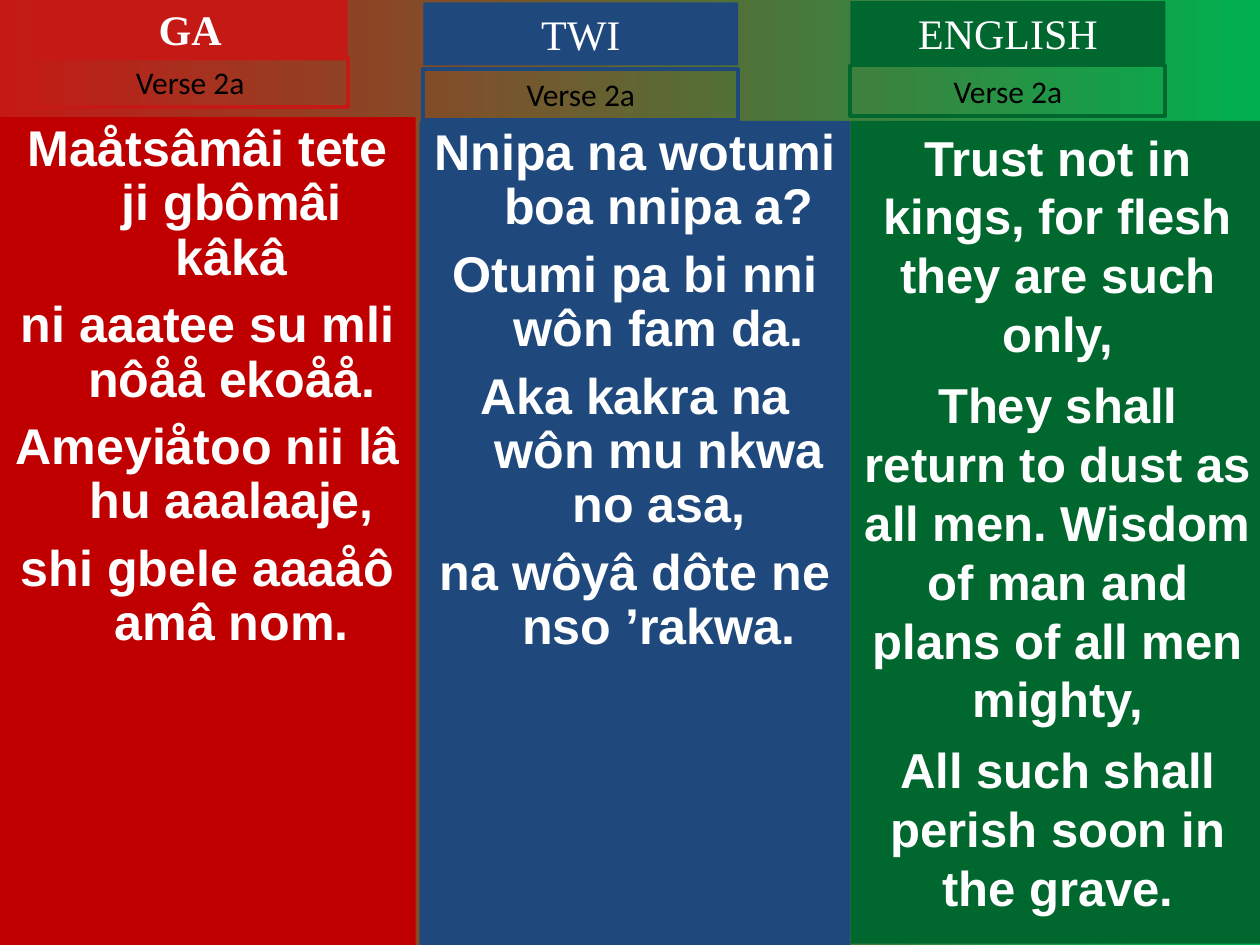
from pptx import Presentation
from pptx.dml.color import RGBColor
from pptx.enum.shapes import MSO_SHAPE as SHAPE
from pptx.enum.text import MSO_ANCHOR as ANCHOR, PP_ALIGN as ALIGN
from pptx.util import Inches, Pt

WHITE, BLACK = "FFFFFF", "000000"
BACKGROUND = ("C51915", "00B050")
LABEL = "Verse 2a"
LABEL_WIDTH, TITLE_HEIGHT, VERSE_HEIGHT = 2.5, 0.5, 0.4
HANGING = dict(size=28.7, space=7.7, spacing=0.9, indent=0.38)
PLAIN = dict(size=28, space=7)

# panel: left, top, width, height; label: left, title top, verse top
COLUMNS = [
    dict(title="GA", bold=True, accent="C51915", fill="C00000",
         panel=(0, 0.93, 3.3, 6.57), label=(0.26, -0.02, 0.45), style=HANGING,
         lines=["Maåtsâmâi tete ji gbômâi kâkâ",
                "ni aaatee su mli nôåå ekoåå.",
                "Ameyiåtoo nii lâ hu aaalaaje,",
                "shi gbele aaaåô amâ nom."]),
    dict(title="TWI", bold=False, accent="1F497D", fill="1F497D",
         panel=(3.33, 0.96, 3.42, 6.54), label=(3.36, 0.02, 0.55), style=HANGING,
         lines=["Nnipa na wotumi boa nnipa a?",
                "Otumi pa bi nni wôn fam da.",
                "Aka kakra na wôn mu nkwa no asa,",
                "na wôyâ dôte ne nso ’rakwa."]),
    dict(title="ENGLISH", bold=False, accent="00682F", fill="00682F",
         panel=(6.75, 0.96, 3.29, 6.53), label=(6.75, 0.01, 0.52), style=PLAIN,
         lines=["Trust not in kings, for flesh they are such only,",
                "They shall return to dust as all men. Wisdom of man "
                "and plans of all men mighty,",
                "All such shall perish soon in the grave."]),
]


def color(value):
    return RGBColor.from_string(value)


def add_box(page, place, fill=None, line=None):
    box = page.shapes.add_shape(SHAPE.RECTANGLE, *map(Inches, place))
    box.shadow.inherit = False
    if fill:
        box.fill.solid()
        box.fill.fore_color.rgb = color(fill)
    else:
        box.fill.background()
    if line:
        box.line.color.rgb = color(line)
        box.line.width = Pt(2.25)
    else:
        box.line.fill.background()
    box.text_frame.word_wrap = True
    box.text_frame.vertical_anchor = ANCHOR.TOP
    return box


def write(box, lines, font, size, ink=WHITE, bold=False,
          space=0, spacing=None, indent=0):
    """Fill the box with centred paragraphs; indent is a hanging indent."""
    frame = box.text_frame
    for number, text in enumerate(lines):
        para = frame.add_paragraph() if number else frame.paragraphs[0]
        para.text = text
        para.alignment = ALIGN.CENTER
        if number and space:
            para.space_before = Pt(space)
        if spacing:
            para.line_spacing = spacing
        if indent:
            properties = para._p.get_or_add_pPr()
            properties.set("marL", str(Inches(indent)))
            properties.set("indent", str(-Inches(indent)))
        para.font.name = font
        para.font.size = Pt(size)
        para.font.bold = bold
        para.font.color.rgb = color(ink)


def add_column(page, column):
    panel = add_box(page, column["panel"], fill=column["fill"])
    write(panel, column["lines"], "Arial", bold=True, **column["style"])

    left, title_top, verse_top = column["label"]
    title = add_box(page, (left, title_top, LABEL_WIDTH, TITLE_HEIGHT),
                    fill=column["accent"])
    write(title, [column["title"]], "Times New Roman", 24, bold=column["bold"])
    verse = add_box(page, (left, verse_top, LABEL_WIDTH, VERSE_HEIGHT),
                    line=column["accent"])
    write(verse, [LABEL], "Calibri", 18, ink=BLACK)


def main():
    deck = Presentation()
    deck.slide_width, deck.slide_height = Inches(10), Inches(7.5)
    page = deck.slides.add_slide(deck.slide_layouts[6])
    backdrop = page.background.fill
    backdrop.gradient()
    backdrop.gradient_angle = 0
    for stop, value in zip(backdrop.gradient_stops, BACKGROUND):
        stop.color.rgb = color(value)
    for column in COLUMNS:
        add_column(page, column)
    deck.save("out.pptx")


if __name__ == "__main__":
    main()
